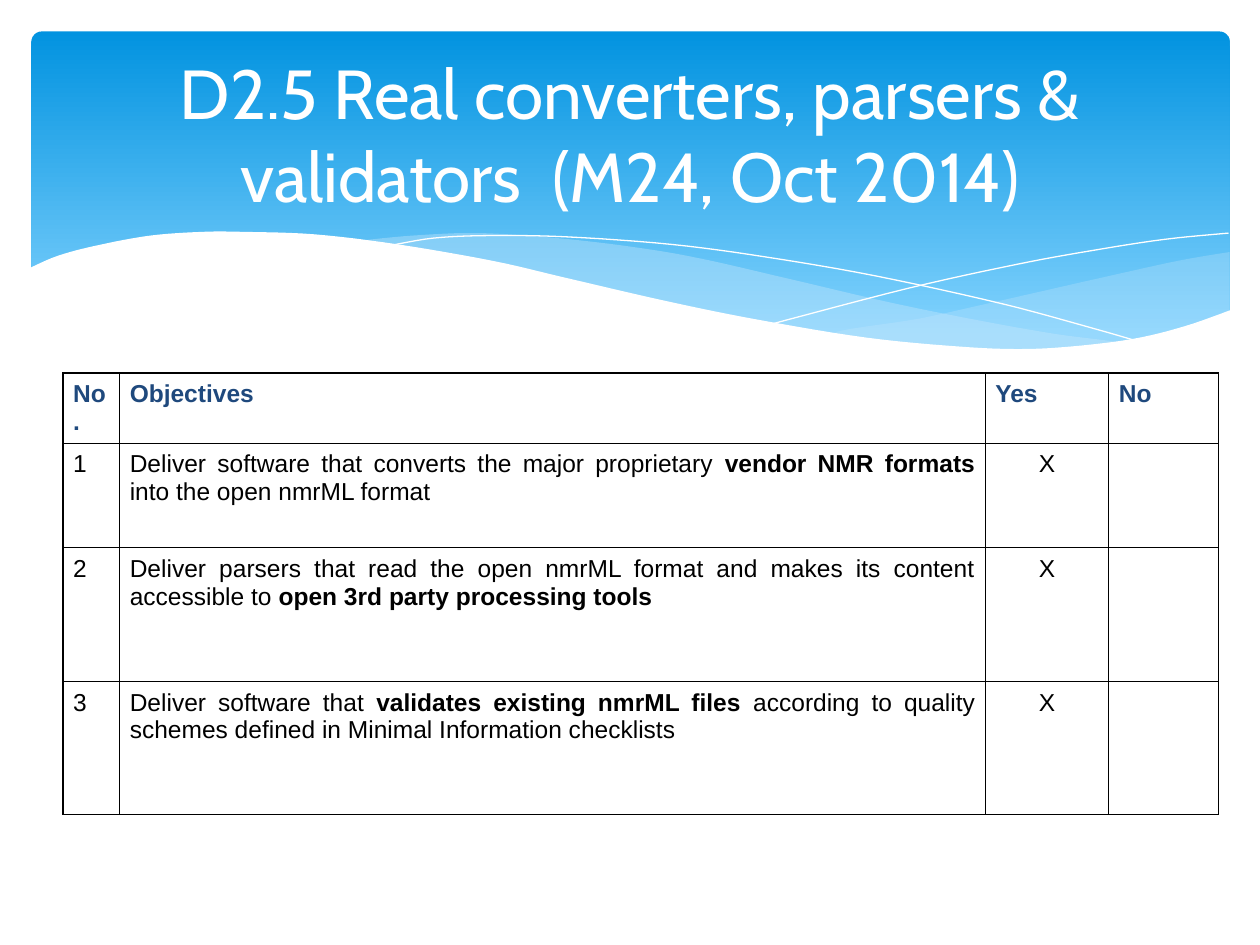
from lxml import etree
from pptx import Presentation
from pptx.dml.color import RGBColor
from pptx.enum.shapes import MSO_SHAPE
from pptx.enum.text import MSO_ANCHOR, PP_ALIGN
from pptx.oxml.ns import qn
from pptx.util import Pt

PX = 9144
ROUND = MSO_SHAPE.ROUNDED_RECTANGLE
MIDDLE = MSO_ANCHOR.MIDDLE
CENTER, JUSTIFY = PP_ALIGN.CENTER, PP_ALIGN.JUSTIFY
WHITE = RGBColor(0xFF, 0xFF, 0xFF)
BLACK = RGBColor(0, 0, 0)
NAVY = RGBColor(0x1F, 0x49, 0x7D)
DEEP = RGBColor(0x02, 0x93, 0xE0)
SKY = RGBColor(0x83, 0xD3, 0xFE)
PALE = RGBColor(0xC6, 0xE7, 0xFC)

BACK_VEIL = [(951, 175), (910, 182), (851, 195), (807, 205), (754, 217), (704, 228),
             (636, 240), (707, 249), (767, 252), (810, 252), (864, 247), (910, 237), (951, 222)]
FRONT_VEIL = [(261, 166), (303, 162), (355, 160), (417, 164), (477, 171), (530, 180),
              (604, 197), (681, 215), (750, 229), (812, 240), (868, 248), (823, 252),
              (771, 253), (711, 250), (640, 241), (559, 227), (466, 207), (379, 186), (317, 174)]
FALL = [(284, 170), (319, 164), (362, 162), (425, 163), (508, 169), (583, 179),
        (670, 194), (770, 216), (844, 236), (882, 247)]
RISE = [(588, 232), (695, 204), (781, 185), (841, 174), (899, 165), (950, 160)]
WAVE = [(-2, 188), (21, 178), (51, 170), (94, 162), (136, 159), (168, 159), (225, 161),
        (291, 169), (366, 182), (422, 195), (504, 214), (578, 229), (663, 243), (736, 250),
        (784, 252), (825, 250), (874, 244), (915, 234), (952, 221)]
BASE = [(952, 304), (-2, 304)]

COLS = [45, 687, 98, 87]
ROWS = [52, 83, 106, 106]
HEAD = ["No.", "Objectives", "Yes", "No"]
GOALS = [
    ("Deliver software that converts the major proprietary ", "vendor NMR formats ",
     "into the open nmrML format"),
    ("Deliver parsers that read the open nmrML format and makes its content accessible to ",
     "open 3rd party processing tools"),
    ("Deliver software that ", "validates existing nmrML files ",
     "according to quality schemes defined in Minimal Information checklists"),
]


def smooth(points, steps=6):
    """Return a Catmull-Rom curve through the points."""
    ends = [points[0], *points, points[-1]]
    curve = [points[0]]
    for a, b, c, d in zip(ends, ends[1:], ends[2:], ends[3:]):
        for step in range(1, steps + 1):
            t = step / steps
            curve.append(tuple(
                (2 * q + (r - p) * t + (2 * p - 5 * q + 4 * r - s) * t ** 2
                 + (3 * q - p - 3 * r + s) * t ** 3) / 2
                for p, q, r, s in zip(a, b, c, d)))
    return curve


def draw(slide, box, points, close):
    """Draw an outline through points relative to the box."""
    left, top = box[:2]
    spots = [(round((left + x) * PX), round((top + y) * PX)) for x, y in points]
    pen = slide.shapes.build_freeform(*spots[0])
    pen.add_line_segments(spots[1:], close=close)
    shape = pen.convert_to_shape()
    shape.shadow.inherit = False
    return shape


def add_area(slide, box, points, color, alpha=100):
    """Add a filled outline with the given opacity in percent."""
    shape = draw(slide, box, points, True)
    shape.fill.solid()
    shape.fill.fore_color.rgb = color
    shape.line.fill.background()
    if alpha < 100:
        tint = shape.fill._xPr.find(".//" + qn("a:srgbClr"))
        etree.SubElement(tint, qn("a:alpha"), val=str(alpha * 1000))


def add_band(slide, box):
    """Add the blue band with its veils, fine lines and white wave."""
    band = slide.shapes.add_shape(ROUND, *(n * PX for n in box))
    band.adjustments[0] = 0.03
    band.shadow.inherit = False
    band.line.fill.background()
    band.fill.gradient()
    band.fill.gradient_angle = 270
    for stop, color, place in zip(band.fill.gradient_stops, (DEEP, SKY), (0, 0.9)):
        stop.color.rgb = color
        stop.position = place
    add_area(slide, box, smooth(BACK_VEIL), PALE, 29)
    add_area(slide, box, smooth(FRONT_VEIL), PALE, 40)
    for points in (FALL, RISE):
        line = draw(slide, box, smooth(points), False)
        line.fill.background()
        line.line.color.rgb = WHITE
        line.line.width = Pt(0)
    add_area(slide, box, smooth(WAVE) + BASE, WHITE)


def add_title(slide, box):
    """Add the centred title."""
    frame = slide.shapes.add_textbox(*(n * PX for n in box)).text_frame
    frame.word_wrap = True
    frame.vertical_anchor = MIDDLE
    frame.text = "D2.5 Real converters, parsers & validators  (M24, Oct 2014)"
    para = frame.paragraphs[0]
    para.alignment = CENTER
    font = para.runs[0].font
    font.name, font.size, font.color.rgb = "Cabin", Pt(39.6), WHITE


def add_edges(cell):
    """Give a cell thin black borders on all sides."""
    props = cell._tc.get_or_add_tcPr()
    for spot, side in enumerate(("a:lnL", "a:lnR", "a:lnT", "a:lnB")):
        edge = etree.Element(qn(side), w=str(Pt(0.75)))
        fill = etree.SubElement(edge, qn("a:solidFill"))
        etree.SubElement(fill, qn("a:srgbClr"), val=str(BLACK))
        props.insert(spot, edge)


def fill_cell(cell, parts, head, align, after):
    """Set a cell's look and its text, where every second part is bold."""
    cell.margin_left = cell.margin_right = 8 * PX
    cell.margin_top = cell.margin_bottom = 6 * PX
    cell.fill.solid()
    cell.fill.fore_color.rgb = WHITE
    add_edges(cell)
    para = cell.text_frame.paragraphs[0]
    para.alignment = align
    para.space_after = Pt(after)
    para.font.size = Pt(14)
    for spot, part in enumerate(parts):
        run = para.add_run()
        run.text = part
        font = run.font
        font.name, font.size = "Arial", Pt(14)
        font.bold = head or spot % 2 == 1
        font.color.rgb = NAVY if head else BLACK


def add_goals(slide, box):
    """Add the table of objectives."""
    table = slide.shapes.add_table(len(ROWS), len(COLS), *(n * PX for n in box)).table
    table.first_row = table.horz_banding = False
    for col, width in zip(table.columns, COLS):
        col.width = width * PX
    for row, height in zip(table.rows, ROWS):
        row.height = height * PX
    rows = [[(name,) for name in HEAD]]
    rows += [[(str(num),), goal, ("X",), ()] for num, goal in enumerate(GOALS, 1)]
    for r, row in enumerate(rows):
        for c, parts in enumerate(row):
            align = CENTER if r and c == 2 else JUSTIFY
            after = 0 if r and c == 1 else 6
            fill_cell(table.cell(r, c), parts, r == 0, align, after)


def main():
    """Build the slide and save it."""
    deck = Presentation()
    deck.slide_width, deck.slide_height = 1000 * PX, 750 * PX
    slide = deck.slides.add_slide(deck.slide_layouts[6])
    add_band(slide, (25, 25, 951, 270))
    add_goals(slide, (50, 296, sum(COLS), sum(ROWS)))
    add_title(slide, (50, 37, 900, 137))
    deck.save("out.pptx")


if __name__ == "__main__":
    main()
